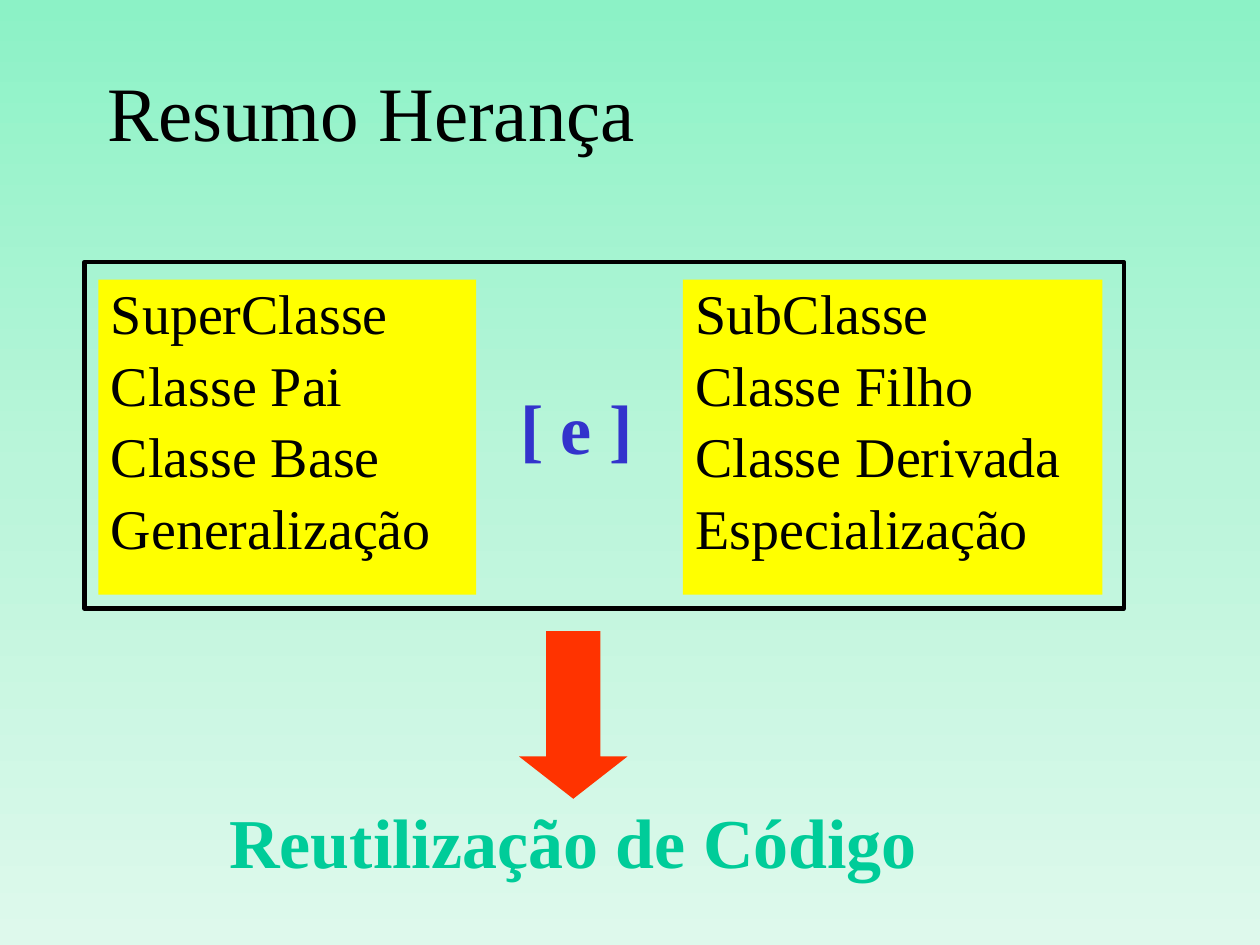
from copy import deepcopy

from pptx import Presentation
from pptx.dml.color import RGBColor
from pptx.enum import shapes, text
from pptx.oxml.ns import qn
from pptx.util import Inches, Pt

FONT = "Times New Roman"
BLACK = RGBColor(0x00, 0x00, 0x00)
YELLOW = RGBColor(0xFF, 0xFF, 0x00)
RED = RGBColor(0xFF, 0x33, 0x00)
GREEN = RGBColor(0x00, 0xCC, 0x99)
BLUE = RGBColor(0x33, 0x33, 0xCC)
BACKGROUND = [
    RGBColor(0x8C, 0xF2, 0xC6),
    RGBColor(0xBA, 0xF5, 0xDA),
    RGBColor(0xDE, 0xF9, 0xEC),
]

TITLE = "Resumo Herança"
CLASS_TERMS = [
    # left, width, terms
    (0.78, 3, ["SuperClasse", "Classe Pai", "Classe Base", "Generalização"]),
    (5.42, 3.33, ["SubClasse", "Classe Filho", "Classe Derivada", "Especialização"]),
]
TERMS_TOP, TERMS_HEIGHT = 2.22, 2.5
LABELS = [
    # text, box, colour, wraps, alignment
    ("Reutilização de Código", (1.46, 6.29, 6.18, 0.77), GREEN, True, text.PP_ALIGN.CENTER),
    ("[ e ]", (4.03, 3, 1.1, 0.77), BLUE, False, text.PP_ALIGN.LEFT),
]
ARROW_BOX = (4.12, 5.01, 0.86, 1.33)
FRAME_BOX = (0.67, 2.08, 8.25, 2.75)


def inches(box):
    return [Inches(length) for length in box]


def place(shape, box):
    shape.left, shape.top, shape.width, shape.height = inches(box)


def style(paragraph, size, color, bold=False, align=text.PP_ALIGN.LEFT):
    paragraph.alignment = align
    for run in paragraph.runs:
        run.font.name, run.font.size, run.font.bold = FONT, Pt(size), bold
        run.font.color.rgb = color


def paint_background(slide, colors):
    """Fill the slide from top to bottom with evenly spaced colours."""
    fill = slide.background.fill
    fill.gradient()
    fill.gradient_angle = 270
    stop_list = next(slide.element.iter(qn("a:gsLst")))
    stop_list.insert(1, deepcopy(stop_list[0]))
    for i, (stop, color) in enumerate(zip(fill.gradient_stops, colors)):
        stop.position = i / (len(colors) - 1)
        stop.color.rgb = color


def fill_terms(body, terms):
    body.fill.solid()
    body.fill.fore_color.rgb = YELLOW
    frame = body.text_frame
    frame.text = "\n".join(terms)
    frame.auto_size = text.MSO_AUTO_SIZE.NONE
    for paragraph in frame.paragraphs:
        style(paragraph, 32, BLACK)
        paragraph.line_spacing = 0.9
        properties = paragraph._p.get_or_add_pPr()
        properties.set("marL", str(Inches(0.38)))
        properties.set("indent", str(-Inches(0.38)))
        properties.append(properties.makeelement(qn("a:buNone"), {}))


def add_label(slide, label, box, color, wraps, align):
    frame = slide.shapes.add_textbox(*inches(box)).text_frame
    frame.text = label
    frame.word_wrap = wraps
    frame.auto_size = text.MSO_AUTO_SIZE.SHAPE_TO_FIT_TEXT
    style(frame.paragraphs[0], 40, color, True, align)


def main():
    prs = Presentation()
    prs.slide_width, prs.slide_height = Inches(10), Inches(7.5)
    slide = prs.slides.add_slide(prs.slide_layouts.get_by_name("Two Content"))
    paint_background(slide, BACKGROUND)

    title = slide.shapes.title
    place(title, (0.75, 0.25, 8.5, 1.25))
    title.text_frame.text = TITLE
    title.text_frame.vertical_anchor = text.MSO_ANCHOR.MIDDLE
    style(title.text_frame.paragraphs[0], 44, BLACK)

    for index, (left, width, terms) in enumerate(CLASS_TERMS, start=1):
        body = slide.placeholders[index]
        place(body, (left, TERMS_TOP, width, TERMS_HEIGHT))
        fill_terms(body, terms)

    arrow = slide.shapes.add_shape(shapes.MSO_SHAPE.DOWN_ARROW, *inches(ARROW_BOX))
    arrow.adjustments[0], arrow.adjustments[1] = 0.5, 0.39
    arrow.shadow.inherit = False
    arrow.fill.solid()
    arrow.fill.fore_color.rgb = RED
    arrow.line.fill.background()

    for label in LABELS:
        add_label(slide, *label)

    frame = slide.shapes.add_shape(shapes.MSO_SHAPE.RECTANGLE, *inches(FRAME_BOX))
    frame.shadow.inherit = False
    frame.fill.background()
    frame.line.color.rgb = BLACK
    frame.line.width = Pt(2.5)

    prs.save("out.pptx")


if __name__ == "__main__":
    main()
